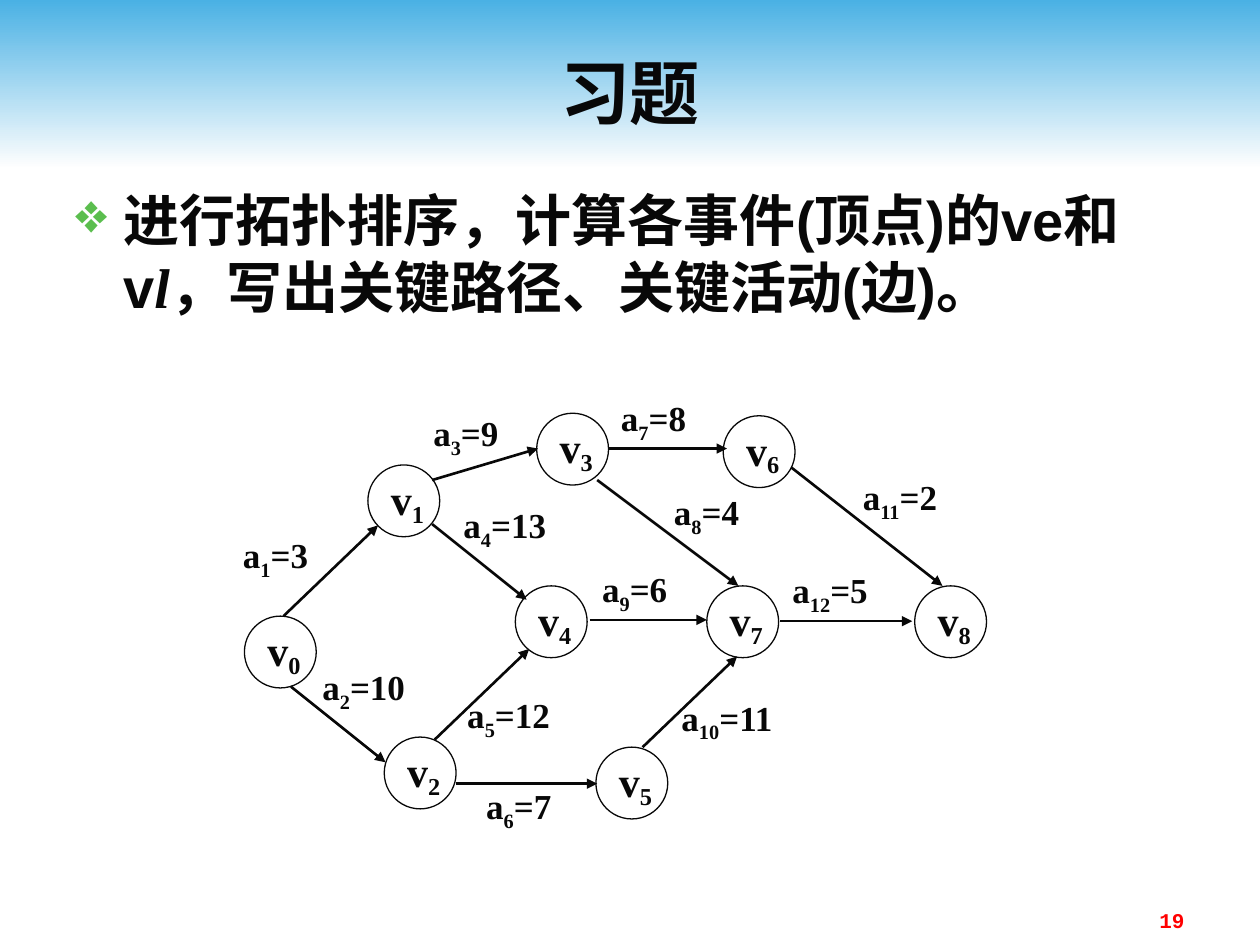
from lxml import etree
from pptx import Presentation
from pptx.dml.color import RGBColor
from pptx.enum.shapes import MSO_CONNECTOR, MSO_SHAPE
from pptx.enum.text import MSO_ANCHOR, PP_ALIGN
from pptx.oxml.ns import qn
from pptx.util import Inches, Pt

STRAIGHT = MSO_CONNECTOR.STRAIGHT
RECTANGLE, OVAL = MSO_SHAPE.RECTANGLE, MSO_SHAPE.OVAL
TOP, MIDDLE = MSO_ANCHOR.TOP, MSO_ANCHOR.MIDDLE
LEFT, CENTER, RIGHT = PP_ALIGN.LEFT, PP_ALIGN.CENTER, PP_ALIGN.RIGHT

INK = RGBColor(0x08, 0x08, 0x08)
SKY = RGBColor(0x4A, 0xB1, 0xE4)
PALE = RGBColor(0xFE, 0xFE, 0xFE)
RED = RGBColor(0xFF, 0x00, 0x00)
BULLET_GREEN = RGBColor(0x5B, 0xBE, 0x4E)

TITLE = {"name": "Arial", "size": Pt(40), "bold": True}
BODY = {"name": "Arial", "size": Pt(32), "bold": True}
BODY_ITALIC = {**BODY, "name": "Times New Roman", "italic": True}
NODE = {"name": "Times New Roman", "size": Pt(24), "bold": True}
LABEL = {**NODE, "size": Pt(20)}
PAGE_NUMBER = {"name": "Courier New", "size": Pt(12), "bold": True}

NODE_SIZE = 0.57
LABEL_HEIGHT = 0.51

# Vertex number: left, top
VERTICES = {
    0: (1.94, 4.89), 1: (2.92, 3.69), 2: (3.05, 5.85),
    3: (4.26, 3.28), 4: (4.09, 4.65), 5: (4.73, 5.93),
    6: (5.74, 3.3), 7: (5.61, 4.65), 8: (7.26, 4.65),
}

# Activity number, duration, label (left, top, width), arrow start, arrow end
ACTIVITIES = [
    (1, 3, (1.83, 4.17, 0.88), (2.25, 4.89), (3, 4.17)),
    (2, 10, (2.46, 5.22, 0.88), (2.31, 5.45), (3.06, 6.05)),
    (3, 9, (3.34, 3.2, 0.79), (3.43, 3.81), (4.27, 3.56)),
    (4, 13, (3.58, 3.93, 0.88), (3.43, 4.16), (4.18, 4.76)),
    (5, 12, (3.61, 5.44, 0.88), (3.45, 5.87), (4.2, 5.15)),
    (6, 7, (3.76, 6.16, 0.79), (3.62, 6.22), (4.74, 6.22)),
    (7, 8, (4.83, 3.08, 0.79), (4.83, 3.56), (5.77, 3.56)),
    (8, 4, (5.25, 3.83, 0.79), (4.74, 3.81), (5.86, 4.65)),
    (9, 6, (4.68, 4.44, 0.79), (4.68, 4.92), (5.61, 4.92)),
    (10, 11, (5.31, 5.46, 0.92), (5.1, 5.93), (5.85, 5.21)),
    (11, 2, (6.75, 3.71, 0.88), (6.28, 3.71), (7.48, 4.65)),
    (12, 5, (6.19, 4.45, 0.88), (6.19, 4.93), (7.24, 4.93)),
]


class SlideBuilder:
    def __init__(self, slide):
        self.slide = slide
        self.shapes = slide.shapes

    def fill_text(self, shape, runs, align=LEFT, anchor=MIDDLE, wrap=True, color=INK):
        """Fill a shape with runs of (text, font format, baseline percent)."""
        frame = shape.text_frame
        frame.word_wrap = wrap
        frame.vertical_anchor = anchor
        paragraph = frame.paragraphs[0]
        paragraph.alignment = align
        for text, font_format, baseline in runs:
            run = paragraph.add_run()
            run.text = text
            for attribute, value in font_format.items():
                setattr(run.font, attribute, value)
            run.font.color.rgb = color
            if baseline:
                run._r.get_or_add_rPr().set("baseline", str(baseline * 1000))
        return paragraph

    def header_band(self, height):
        band = self.shapes.add_shape(RECTANGLE, 0, 0, Inches(10), Inches(height))
        band.shadow.inherit = False
        band.line.fill.background()
        band.fill.gradient()
        band.fill.gradient_angle = 270
        for stop, color, position in zip(band.fill.gradient_stops, (SKY, PALE), (0, 1)):
            stop.color.rgb = color
            stop.position = position
        title = self.shapes.title._element
        title.addprevious(band._element)

    def title(self, text, *box):
        title = self.shapes.title
        title.left, title.top, title.width, title.height = map(Inches, box)
        self.fill_text(title, [(text, TITLE, 0)], align=CENTER)

    def text(self, runs, *box, **layout):
        text_box = self.shapes.add_textbox(*map(Inches, box))
        return self.fill_text(text_box, runs, **layout)

    def bullet_text(self, runs, *box):
        paragraph = self.text(runs, *box, anchor=TOP)
        paragraph.space_before = Pt(8)
        properties = paragraph._p.get_or_add_pPr()
        properties.set("marL", str(Inches(0.38)))
        properties.set("indent", str(Inches(-0.38)))
        bullet_color = etree.SubElement(properties, qn("a:buClr"))
        etree.SubElement(bullet_color, qn("a:srgbClr"), val=str(BULLET_GREEN))
        etree.SubElement(properties, qn("a:buChar"), char="❖")

    def vertex(self, number, left, top):
        size = Inches(NODE_SIZE)
        circle = self.shapes.add_shape(OVAL, Inches(left), Inches(top), size, size)
        circle.shadow.inherit = False
        circle.fill.background()
        circle.line.color.rgb = INK
        circle.line.width = Pt(0.75)
        self.fill_text(circle, [("v", NODE, 0), (str(number), NODE, -18)], wrap=False)

    def arrow(self, start, end):
        arrow = self.shapes.add_connector(STRAIGHT, *map(Inches, start + end))
        arrow.line.color.rgb = INK
        arrow.line.width = Pt(1.5)
        etree.SubElement(arrow.line._get_or_add_ln(), qn("a:tailEnd"), type="triangle")
        etree.SubElement(arrow._element.spPr, qn("a:effectLst"))

    def activity(self, number, duration, label, start, end):
        runs = [("a", LABEL, 0), (str(number), LABEL, -25), (f"={duration}", LABEL, 0)]
        self.text(runs, *label, LABEL_HEIGHT, wrap=False)
        self.arrow(start, end)


def main():
    presentation = Presentation()
    presentation.slide_width, presentation.slide_height = Inches(10), Inches(7.5)
    title_only = presentation.slide_layouts[5]
    builder = SlideBuilder(presentation.slides.add_slide(title_only))

    builder.header_band(1.33)
    builder.title("习题", 0.5, 0.25, 9, 0.95)
    builder.bullet_text([
        ("进行拓扑排序，计算各事件(顶点)的ve和v", BODY, 0),
        ("l", BODY_ITALIC, 0),
        ("，写出关键路径、关键活动(边)。", BODY, 0),
    ], 0.5, 1.42, 9, 5.5)
    for number, position in VERTICES.items():
        builder.vertex(number, *position)
    for activity in ACTIVITIES:
        builder.activity(*activity)
    builder.text([("19", PAGE_NUMBER, 0)], 7.17, 7.15, 2.33, 0.27,
                 align=RIGHT, anchor=TOP, color=RED)

    presentation.save("out.pptx")


if __name__ == "__main__":
    main()
